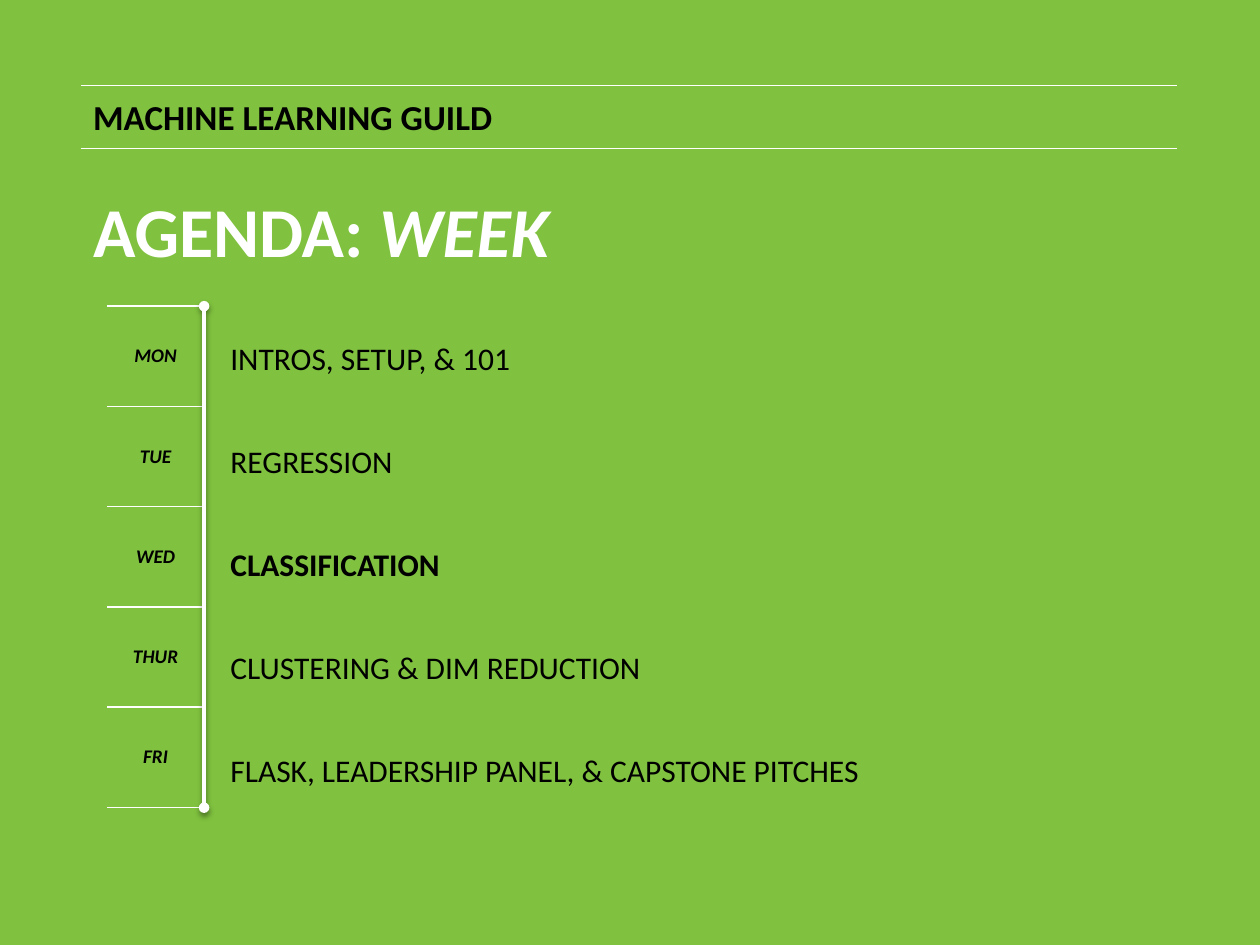
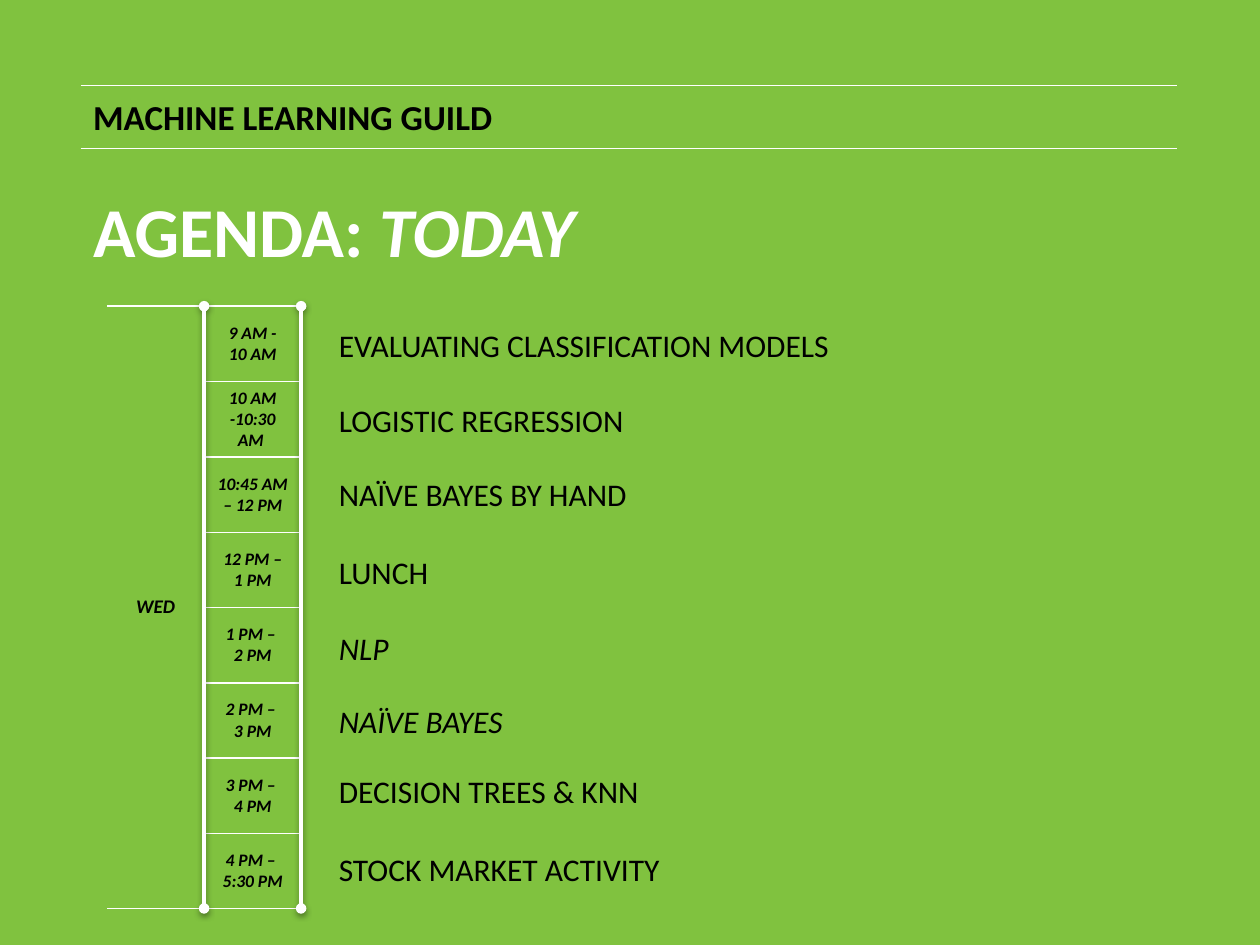
from dataclasses import dataclass

import pptx
import pptx.dml.color
import pptx.enum.shapes
import pptx.enum.text
import pptx.oxml
import pptx.oxml.ns
import pptx.util
from pptx.util import Inches


@dataclass(frozen=True)
class Theme:
    green: str = "80C23F"
    white: str = "FFFFFF"
    black: str = "000000"
    font: str = "Calibri"
    guild_size: int = 20
    title_size: int = 40
    topic_size: int = 18
    day_size: int = 11
    hour_size: int = 10
    rule_width: float = 0.75
    border_width: int = 1
    spine_width: int = 2


@dataclass(frozen=True)
class Run:
    text: str
    size: int
    color: str
    bold: bool = False
    italic: bool = False


@dataclass(frozen=True)
class Topic:
    text: str
    top: float
    bold: bool = False
    italic: bool = False


THEME = Theme()
GUILD = "MACHINE LEARNING GUILD"
MARGIN, RIGHT = 0.64, 9.34
AGENDA_TOP = 2.43
DAY_LEFT, COLUMN_WIDTH = 0.85, 0.77
HOUR_LEFT = DAY_LEFT + COLUMN_WIDTH
WEEK_HEIGHT, TODAY_HEIGHT = 3.98, 4.78
TOPIC_WIDTH = 6.81

DAYS = ["MON", "TUE", "WED", "THUR", "FRI"]
WEEK_TOPICS = [
    Topic("INTROS, SETUP, & 101", 2.64),
    Topic("REGRESSION", 3.46),
    Topic("CLASSIFICATION", 4.28, bold=True),
    Topic("CLUSTERING & DIM REDUCTION", 5.09),
    Topic("FLASK, LEADERSHIP PANEL, & CAPSTONE PITCHES", 5.91),
]
HOURS = [
    "9 AM -\n10 AM",
    "10 AM -10:30 AM ",
    "10:45 AM – 12 PM",
    "12 PM –\n1 PM",
    "1 PM – \n2 PM",
    "2 PM – \n3 PM",
    "3 PM – \n4 PM",
    "4 PM – \n5:30 PM",
]
TODAY_TOPICS = [
    Topic("EVALUATING CLASSIFICATION MODELS", 2.54),
    Topic("LOGISTIC REGRESSION", 3.13),
    Topic("NAÏVE BAYES BY HAND", 3.72),
    Topic("LUNCH", 4.34),
    Topic("NLP", 4.94, italic=True),
    Topic("NAÏVE BAYES", 5.52, italic=True),
    Topic("DECISION TREES & KNN", 6.08),
    Topic("STOCK MARKET ACTIVITY", 6.70),
]


def rgb(color: str) -> pptx.dml.color.RGBColor:
    return pptx.dml.color.RGBColor.from_string(color)


def xml(body: str):
    """Parse one element; the body's first tag takes the drawing namespace."""
    tag, rest = body[:-2].split(" ", 1) if body.endswith("/>") else body.split(" ", 1)
    tail = "/>" if body.endswith("/>") else ""
    return pptx.oxml.parse_xml(f"{tag} {pptx.oxml.ns.nsdecls('a')} {rest}{tail}")


def add_run(p, run: Run) -> None:
    r = p.add_run()
    r.text = run.text
    formats = {
        "name": THEME.font,
        "size": pptx.util.Pt(run.size),
        "bold": run.bold,
        "italic": run.italic,
    }
    for name, value in formats.items():
        setattr(r.font, name, value)
    r.font.color.rgb = rgb(run.color)


def add_text(s, left: float, top: float, width: float, height: float,
             runs: list[Run], wrap: bool = False) -> None:
    tf = s.shapes.add_textbox(*map(Inches, (left, top, width, height))).text_frame
    tf.word_wrap = wrap
    tf.auto_size = pptx.enum.text.MSO_AUTO_SIZE.SHAPE_TO_FIT_TEXT
    for run in runs:
        add_run(tf.paragraphs[0], run)


def add_line(s, x1: float, y1: float, x2: float, y2: float, width: float):
    sp = s.shapes.add_connector(
        pptx.enum.shapes.MSO_CONNECTOR.STRAIGHT, *map(Inches, (x1, y1, x2, y2)))
    sp.line.color.rgb = rgb(THEME.white)
    sp.line.width = pptx.util.Pt(width)
    effects = xml("<a:effectLst />")
    sp._element.spPr.append(effects)
    return sp, effects


def add_spine(s, x: float, height: float) -> None:
    """Draw a shadowed vertical line with a dot at each end."""
    sp, effects = add_line(s, x, AGENDA_TOP, x, AGENDA_TOP + height, THEME.spine_width)
    for end in ("headEnd", "tailEnd"):
        sp.line._get_or_add_ln().append(xml(f'<a:{end} type="oval"/>'))
    effects.append(xml(
        '<a:outerShdw blurRad="40000" dist="20000" dir="5400000" rotWithShape="0">'
        f'<a:srgbClr val="{THEME.black}"><a:alpha val="38000"/></a:srgbClr>'
        '</a:outerShdw>'))


def set_borders(cell) -> None:
    """Leave the sides open and rule the top and bottom."""
    solid = f'<a:solidFill><a:srgbClr val="{THEME.white}"/></a:solidFill>'
    width = pptx.util.Pt(THEME.border_width)
    fills = {"lnL": "<a:noFill/>", "lnR": "<a:noFill/>", "lnT": solid, "lnB": solid}
    for i, (side, fill) in enumerate(fills.items()):
        cell._tc.get_or_add_tcPr().insert(
            i, xml(f'<a:{side} w="{width}">{fill}</a:{side}>'))


def add_column(s, left: float, height: float, labels: list[str], size: int) -> None:
    """Add a one-column table of equal rows."""
    table = s.shapes.add_table(
        len(labels), 1,
        *map(Inches, (left, AGENDA_TOP, COLUMN_WIDTH, height))).table
    table.first_row = table.horz_banding = False
    for row, label in zip(table.rows, labels):
        row.height = Inches(height / len(labels))
        cell = row.cells[0]
        cell.vertical_anchor = pptx.enum.text.MSO_ANCHOR.MIDDLE
        cell.fill.background()
        set_borders(cell)
        tf = cell.text_frame
        for i, text in enumerate(label.split("\n")):
            p = tf.add_paragraph() if i else tf.paragraphs[0]
            p.alignment = pptx.enum.text.PP_ALIGN.CENTER
            add_run(p, Run(text, size, THEME.black, bold=True, italic=True))


def add_topics(s, left: float, topics: list[Topic]) -> None:
    for topic in topics:
        run = Run(topic.text, THEME.topic_size, THEME.black, topic.bold, topic.italic)
        add_text(s, left, topic.top, TOPIC_WIDTH, 0.4, [run], wrap=True)


def add_agenda_slide(prs, period: str, title_width: float):
    """Start a slide with the guild band and the agenda title."""
    s = prs.slides.add_slide(prs.slide_layouts[6])
    s.background.fill.solid()
    s.background.fill.fore_color.rgb = rgb(THEME.green)
    for y in (0.68, 1.18):
        add_line(s, MARGIN, y, RIGHT, y, THEME.rule_width)
    add_text(s, MARGIN, 0.71, 3.4, 0.44,
             [Run(GUILD, THEME.guild_size, THEME.black, bold=True)])
    add_text(s, MARGIN, 1.44, title_width, 0.77, [
        Run("AGENDA: ", THEME.title_size, THEME.white, bold=True),
        Run(period, THEME.title_size, THEME.white, bold=True, italic=True),
    ])
    return s


def add_week(prs) -> None:
    s = add_agenda_slide(prs, "WEEK", 3.86)
    add_column(s, DAY_LEFT, WEEK_HEIGHT, DAYS, THEME.day_size)
    add_spine(s, HOUR_LEFT, WEEK_HEIGHT)
    add_topics(s, 1.73, WEEK_TOPICS)


def add_today(prs) -> None:
    s = add_agenda_slide(prs, "TODAY", 4.06)
    add_column(s, DAY_LEFT, TODAY_HEIGHT, ["WED"], THEME.day_size)
    add_column(s, HOUR_LEFT, TODAY_HEIGHT, HOURS, THEME.hour_size)
    for x in (HOUR_LEFT, HOUR_LEFT + COLUMN_WIDTH):
        add_spine(s, x, TODAY_HEIGHT)
    add_topics(s, 2.59, TODAY_TOPICS)


def main() -> None:
    prs = pptx.Presentation()
    prs.slide_width, prs.slide_height = Inches(10), Inches(7.5)
    add_week(prs)
    add_today(prs)
    prs.save("out.pptx")


if __name__ == "__main__":
    main()
